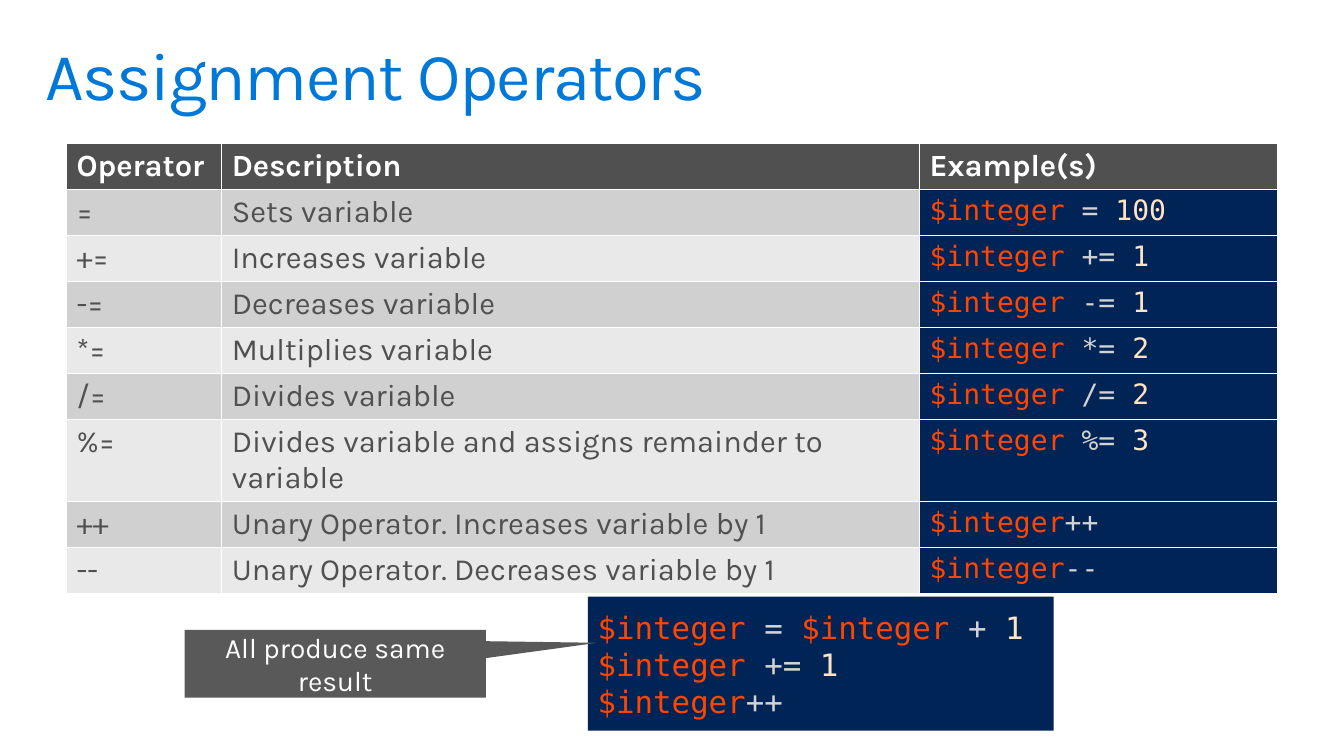
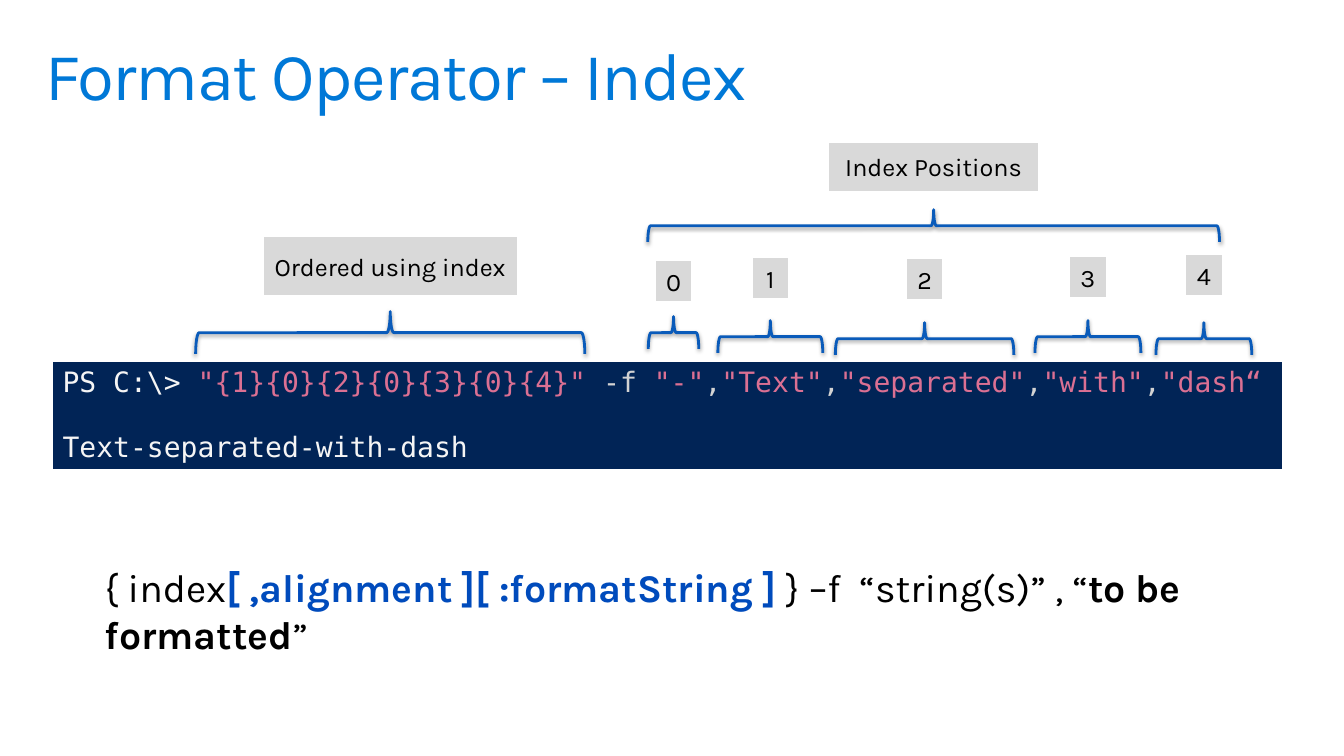
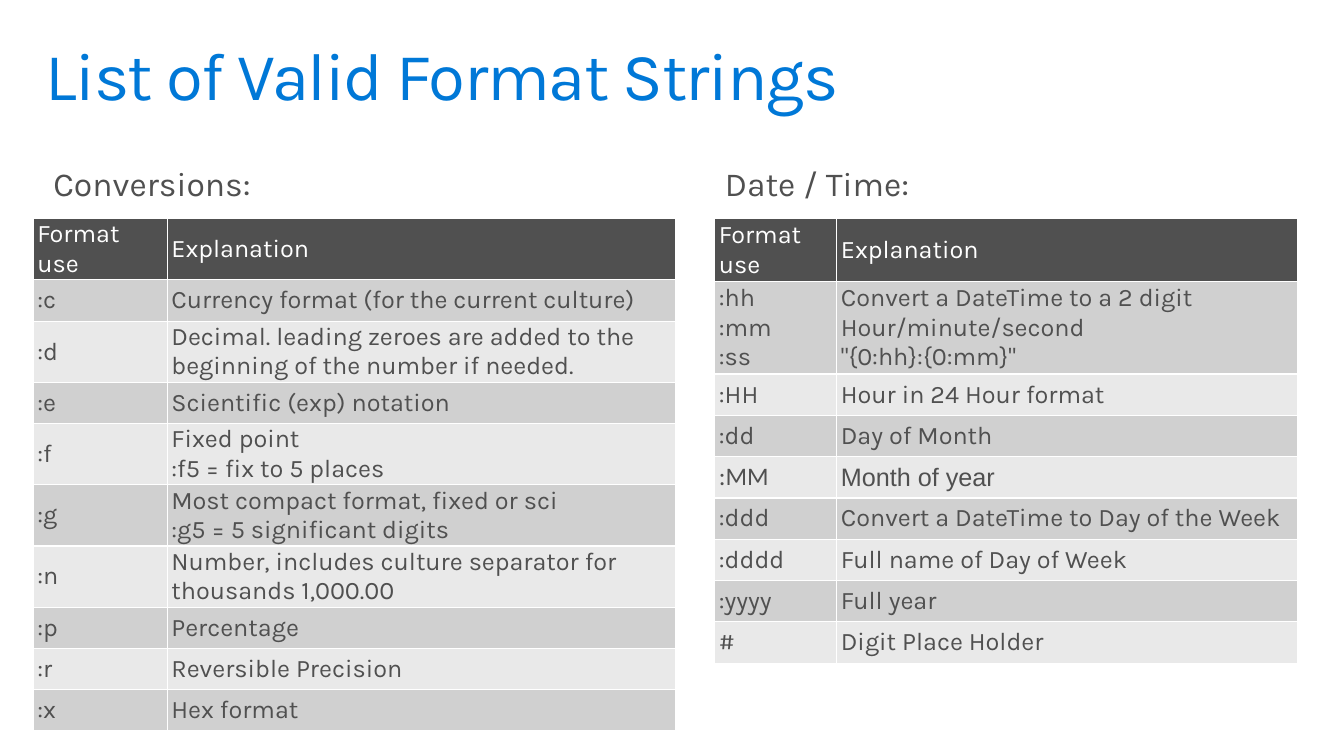
from dataclasses import dataclass
from itertools import cycle

from lxml import etree
from pptx import Presentation
from pptx.dml.color import RGBColor
from pptx.enum import shapes, text
from pptx.oxml import ns
from pptx.util import Pt

PX = 9144  # one px is 0.01 inch

# Colours
WHITE = RGBColor(0xFF, 0xFF, 0xFF)
BLACK = RGBColor(0, 0, 0)
TITLE_BLUE = RGBColor(0x00, 0x78, 0xD7)
OPTION_BLUE = RGBColor(0x00, 0x4B, 0xBC)
BRACE_BLUE = RGBColor(0x0A, 0x5B, 0xBA)
DARK_GREY = RGBColor(0x50, 0x50, 0x50)
CALLOUT_GREY = RGBColor(0x59, 0x59, 0x59)
LABEL_GREY = RGBColor(0xD9, 0xD9, 0xD9)
BAND_DARK = RGBColor(0xD0, 0xD0, 0xD0)
BAND_LIGHT = RGBColor(0xE9, 0xE9, 0xE9)

# Console colours
CONSOLE = RGBColor(0x01, 0x24, 0x56)
VARIABLE = RGBColor(0xFF, 0x45, 0x00)
OPERATOR = RGBColor(0xD3, 0xD3, 0xD3)
NUMBER = RGBColor(0xFF, 0xE4, 0xC4)
STRING = RGBColor(0xDB, 0x70, 0x93)
OUTPUT = RGBColor(0xF5, 0xF5, 0xF5)

BODY = "Karla"
MONO = "DejaVu Sans Mono"
LEFT, CENTER = text.PP_ALIGN.LEFT, text.PP_ALIGN.CENTER
TOP, MIDDLE = text.MSO_ANCHOR.TOP, text.MSO_ANCHOR.MIDDLE


@dataclass
class Run:
    text: str
    color: RGBColor = None
    bold: bool = None
    font: str = None


# Text
def write(frame, content, size, color=DARK_GREY, font=BODY, bold=False,
          align=LEFT, line_spacing=None, gap=0):
    """Fill a frame from a string, or from a list of lines of runs."""
    if isinstance(content, str):
        content = [[Run(line)] for line in content.split("\n")]
    frame.word_wrap = True
    for number, line in enumerate(content):
        paragraph = frame.add_paragraph() if number else frame.paragraphs[0]
        paragraph.alignment = align
        if line_spacing:
            paragraph.line_spacing = line_spacing
        if number and gap:
            paragraph.space_before = Pt(gap)
        for part in line:
            run = paragraph.add_run()
            run.text = part.text
            run.font.size = Pt(size)
            run.font.name = part.font or font
            run.font.color.rgb = part.color or color
            run.font.bold = bold if part.bold is None else part.bold


def set_margins(target, side, end):
    target.margin_left = target.margin_right = side * PX
    target.margin_top = target.margin_bottom = end * PX


def place(shape, left, top, width, height):
    shape.left, shape.top = left * PX, top * PX
    shape.width, shape.height = width * PX, height * PX


def add_titled_slide(deck, title):
    slide = deck.slides.add_slide(deck.slide_layouts[5])
    place(slide.shapes.title, 29, 32, 1275, 98)
    frame = slide.shapes.title.text_frame
    frame.auto_size = text.MSO_AUTO_SIZE.NONE
    frame.vertical_anchor = TOP
    set_margins(frame, 16, 10)
    write(frame, title, 48, TITLE_BLUE, line_spacing=0.9)
    frame.paragraphs[0].runs[0].font._element.set("spc", "-100")
    return slide


def add_text(slide, box, content, size, color, margins=(10, 5), **style):
    frame = slide.shapes.add_textbox(*(n * PX for n in box)).text_frame
    set_margins(frame, *margins)
    write(frame, content, size, color, **style)


# Shapes
def add_panel(slide, box, fill, content, size, kind=shapes.MSO_SHAPE.RECTANGLE,
              border=None, **style):
    panel = slide.shapes.add_shape(kind, *(n * PX for n in box))
    panel.shadow.inherit = False
    panel.fill.solid()
    panel.fill.fore_color.rgb = fill
    if border:
        panel.line.color.rgb = border
        panel.line.width = Pt(2)
    else:
        panel.line.fill.background()
    panel.text_frame.vertical_anchor = MIDDLE
    write(panel.text_frame, content, size, **style)
    return panel


def add_shadow(shape):
    shape.shadow.inherit = False
    effects = shape._element.spPr.find(ns.qn("a:effectLst"))
    shadow = etree.SubElement(effects, ns.qn("a:outerShdw"), blurRad="39370",
                              dist="20320", dir="5400000", rotWithShape="0")
    tint = etree.SubElement(shadow, ns.qn("a:srgbClr"), val="000000")
    etree.SubElement(tint, ns.qn("a:alpha"), val="38000")


def add_brace(slide, center, top, span, depth):
    """A brace that opens downwards: a left brace turned a quarter."""
    middle = top + depth / 2
    brace = slide.shapes.add_shape(
        shapes.MSO_SHAPE.LEFT_BRACE, int((center - depth / 2) * PX),
        int((middle - span / 2) * PX), depth * PX, span * PX)
    brace.rotation = 90
    brace.fill.background()
    brace.line.color.rgb = BRACE_BLUE
    brace.line.width = Pt(2)
    add_shadow(brace)


def add_braced_label(slide, label, center, brace, box):
    """brace is top, span, depth; box is top, width, height."""
    add_brace(slide, center, *brace)
    top, width, height = box
    add_panel(slide, (center - width // 2, top, width, height), LABEL_GREY,
              label, 18, border=WHITE, color=BLACK, align=CENTER)


# Tables
def fill_cell(cell, fill, content, size, margins=(10, 5), anchor=TOP, **style):
    cell.fill.solid()
    cell.fill.fore_color.rgb = fill
    cell.vertical_anchor = anchor
    set_margins(cell, *margins)
    write(cell.text_frame, content, size, **style)


def add_grid(slide, left, top, widths, row_count, row_height=41):
    table = slide.shapes.add_table(
        row_count, len(widths), left * PX, top * PX,
        sum(widths) * PX, row_count * row_height * PX).table
    for column, width in zip(table.columns, widths):
        column.width = width * PX
    return table


def add_banded_table(slide, left, top, widths, header, rows, size,
                     header_bold=False, **layout):
    """Text goes on grey bands; a list of lines is code on the console."""
    table = add_grid(slide, left, top, widths, len(rows) + 1)
    for column, heading in enumerate(header):
        fill_cell(table.cell(0, column), DARK_GREY, heading, size,
                  color=WHITE, bold=header_bold, **layout)
    bands = cycle((BAND_DARK, BAND_LIGHT))
    for number, (row, band) in enumerate(zip(rows, bands), 1):
        for column, content in enumerate(row):
            cell = table.cell(number, column)
            if isinstance(content, list):
                fill_cell(cell, CONSOLE, content, 20, font=MONO, **layout)
            elif isinstance(content, Run):
                fill_cell(cell, band, [[content]], size, **layout)
            else:
                fill_cell(cell, band, content, size, **layout)


def assignment(operator, value=""):
    """One line of coloured code that changes $integer."""
    if not value:
        return [Run("$integer", VARIABLE), Run(operator, OPERATOR)]
    return [Run("$integer ", VARIABLE), Run(operator + " ", OPERATOR),
            Run(value, NUMBER)]


# Slides
def build_assignment_operators(deck):
    slide = add_titled_slide(deck, "Assignment Operators")
    operators = [
        ("=", "Sets variable", "100"),
        ("+=", "Increases variable", "1"),
        ("-=", "Decreases variable", "1"),
        ("*=", "Multiplies variable", "2"),
        ("/=", "Divides variable", "2"),
        ("%=", "Divides variable and assigns remainder to variable", "3"),
        ("++", "Unary Operator. Increases variable by 1", ""),
        ("--", "Unary Operator. Decreases variable by 1", ""),
    ]
    rows = [(operator, description, [assignment(operator, value)])
            for operator, description, value in operators]
    add_banded_table(slide, 66, 142, (154, 692, 355),
                     ("Operator", "Description", "Example(s)"), rows, 22,
                     header_bold=True)

    long_form = [Run("$integer ", VARIABLE), Run("= ", OPERATOR),
                 Run("$integer ", VARIABLE), Run("+ ", OPERATOR),
                 Run("1", NUMBER)]
    add_panel(slide, (583, 592, 462, 133), CONSOLE,
              [long_form, assignment("+=", "1"), assignment("++")], 22,
              font=MONO)
    callout = add_panel(slide, (183, 625, 299, 67), CALLOUT_GREY,
                        "All produce same result", 20,
                        kind=shapes.MSO_SHAPE.RECTANGULAR_CALLOUT,
                        color=WHITE, align=CENTER)
    callout.adjustments[0] = 0.87
    callout.adjustments[1] = -0.31


def build_format_index(deck):
    slide = add_titled_slide(deck, "Format Operator – Index")

    # Console with the command and its output
    command = [Run("PS C:\\> ", OUTPUT),
               Run('"{1}{0}{2}{0}{3}{0}{4}" ', STRING), Run("-f ", OPERATOR)]
    for number, word in enumerate(
            ('"-"', '"Text"', '"separated"', '"with"', '"dash“')):
        if number:
            command.append(Run(",", OPERATOR))
        command.append(Run(word, STRING))
    console = add_grid(slide, 52, 359, (1220,), 1, row_height=106)
    fill_cell(console.cell(0, 0), CONSOLE,
              [command, [Run("Text-separated-with-dash", OUTPUT)]], 20,
              font=MONO, gap=23)

    # Braces and their labels
    add_braced_label(slide, "Ordered using index", 387, (309, 386, 42),
                     (234, 254, 60))
    indexes = [(668, 314, 50, 258), (764, 318, 104, 255), (917, 320, 177, 256),
               (1079, 318, 105, 254), (1194, 320, 95, 252)]
    for index, (center, top, span, label_top) in enumerate(indexes):
        add_braced_label(slide, str(index), center, (top, span, 32),
                         (label_top, 38, 42))
    add_braced_label(slide, "Index Positions", 926, (208, 567, 32),
                     (140, 210, 51))

    syntax = [Run("{ index"),
              Run("[ ,alignment ][ :formatString ] ", OPTION_BLUE, True),
              Run("} –f  “string(s)” , “"), Run("to be formatted", bold=True),
              Run("”")]
    add_text(slide, (94, 554, 1155, 104), [syntax], 28, BLACK)


def build_format_strings(deck):
    slide = add_titled_slide(deck, "List of Valid Format Strings")
    conversions = [
        (":c", "Currency format (for the current culture)"),
        (":d", "Decimal. leading zeroes are added to the beginning of the "
               "number if needed."),
        (":e", "Scientific (exp) notation"),
        (":f", "Fixed point\n:f5 = fix to 5 places"),
        (":g", "Most compact format, fixed or sci\n"
               ":g5 = 5 significant digits"),
        (":n", "Number, includes culture separator for thousands 1,000.00"),
        (":p", "Percentage"),
        (":r", "Reversible Precision"),
        (":x", "Hex format"),
    ]
    dates = [
        (":hh\n:mm\n:ss", "Convert a DateTime to a 2 digit "
                          'Hour/minute/second\n"{0:hh}:{0:mm}"'),
        (":HH", "Hour in 24 Hour format"),
        (":dd", "Day of Month"),
        (Run(":MM", font="Calibri"), Run("Month of year", font="Arial")),
        (":ddd", "Convert a DateTime to Day of the Week"),
        (":dddd", "Full name of Day of Week"),
        (":yyyy", "Full year"),
        ("#", "Digit Place Holder"),
    ]
    sections = [("Conversions:", 33, 33, (133, 504), conversions),
                ("Date / Time:", 699, 709, (121, 457), dates)]
    for heading, heading_left, left, widths, rows in sections:
        add_banded_table(slide, left, 217, widths,
                         ("Format use", "Explanation"), rows, 18,
                         margins=(4, 1), anchor=MIDDLE)
        add_text(slide, (heading_left, 150, 600, 67), heading, 24, DARK_GREY,
                 margins=(20, 16), line_spacing=0.9)


def main():
    deck = Presentation()
    deck.slide_width, deck.slide_height = 1333 * PX, 750 * PX
    build_assignment_operators(deck)
    build_format_index(deck)
    build_format_strings(deck)
    deck.save("out.pptx")


if __name__ == "__main__":
    main()
